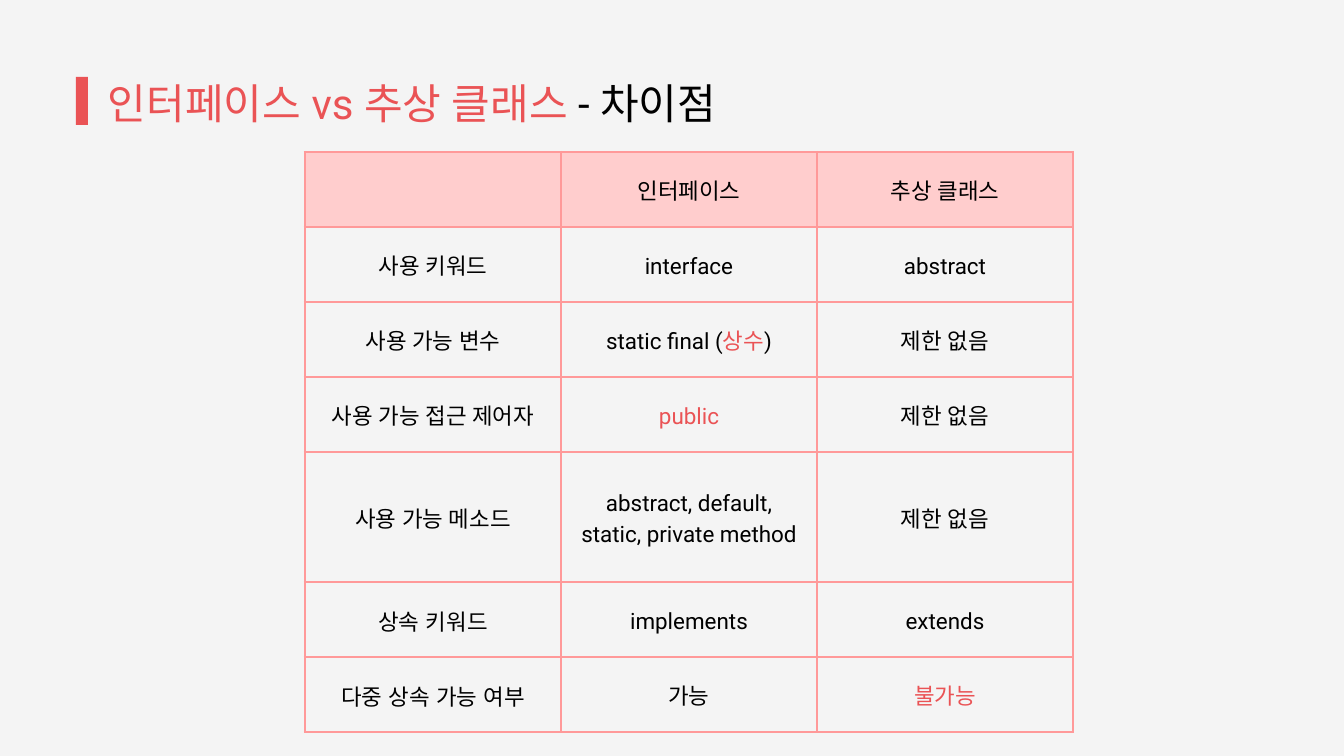
from lxml import etree
from pptx import Presentation
from pptx import util as u
from pptx.dml.color import RGBColor
from pptx.enum import shapes, text
from pptx.oxml.ns import qn

COLORS = {"paper": "F4F4F4", "ink": "000000", "accent": "EA5355",
          "header": "FFCDCD", "border": "FF9999"}
TITLE = [("인터페이스 vs 추상 클래스 ", "accent"), ("- 차이점", "ink")]
ROWS = [
    ("", "인터페이스", "추상 클래스"),
    ("사용 키워드", "interface", "abstract"),
    ("사용 가능 변수", [("static final (", "ink"), ("상수", "accent"), (")", "ink")], "제한 없음"),
    ("사용 가능 접근 제어자", [("public", "accent")], "제한 없음"),
    ("사용 가능 메소드", "abstract, default, static, private method", "제한 없음"),
    ("상속 키워드", "implements", "extends"),
    ("다중 상속 가능 여부", "가능", [("불가능", "accent")]),
]
ARIAL_CELLS = {(5, 0), (6, 0)}
ROW_HEIGHTS = [75, 75, 75, 75, 130, 75, 75]
COLUMN_WIDTH = 256
TABLE_LEFT, TABLE_TOP = 305, 152
CELL_INSET = 14
SCALE = 914400 / 67.2


def px(length):
    return u.Emu(round(length * SCALE))


def rgb(name):
    return RGBColor.from_string(COLORS[name])


def write(frame, content, size, leading, font="Roboto", align=text.PP_ALIGN.LEFT):
    para = frame.paragraphs[0]
    para.alignment = align
    para.line_spacing = u.Pt(leading)
    pieces = [(content, "ink")] if isinstance(content, str) else content
    for words, color in pieces:
        span = para.add_run()
        span.text = words
        span.font.size = u.Pt(size)
        span.font.color.rgb = rgb(color)
        span.font.name = font
        etree.SubElement(span.font._element, qn("a:ea"), typeface=font)


def add_borders(cell):
    properties = cell._tc.get_or_add_tcPr()
    for side in ("lnL", "lnR", "lnT", "lnB"):
        line = etree.SubElement(properties, qn(f"a:{side}"), w=str(u.Pt(3)))
        fill = etree.SubElement(line, qn("a:solidFill"))
        etree.SubElement(fill, qn("a:srgbClr"), val=COLORS["border"])


def add_title(page):
    bar = page.shapes.add_shape(shapes.MSO_SHAPE.RECTANGLE, px(76), px(77), px(12), px(48))
    bar.shadow.inherit = False
    bar.fill.solid()
    bar.fill.fore_color.rgb = rgb("accent")
    bar.line.fill.background()

    box = page.shapes.add_textbox(px(108), px(73), px(667), px(53))
    frame = box.text_frame
    frame.word_wrap = True
    frame.margin_left = frame.margin_right = frame.margin_top = frame.margin_bottom = 0
    write(frame, TITLE, size=45, leading=58.5)


def add_comparison(page):
    columns = len(ROWS[0])
    table = page.shapes.add_table(
        len(ROWS), columns, px(TABLE_LEFT), px(TABLE_TOP),
        px(COLUMN_WIDTH * columns), px(sum(ROW_HEIGHTS))).table
    table.horz_banding = False
    table.first_row = False
    for column in table.columns:
        column.width = px(COLUMN_WIDTH)
    for r, (values, height) in enumerate(zip(ROWS, ROW_HEIGHTS)):
        table.rows[r].height = px(height)
        for c, content in enumerate(values):
            cell = table.cell(r, c)
            add_borders(cell)
            if r == 0:
                cell.fill.solid()
                cell.fill.fore_color.rgb = rgb("header")
            else:
                cell.fill.background()
            cell.vertical_anchor = text.MSO_ANCHOR.MIDDLE
            cell.margin_left = cell.margin_right = px(CELL_INSET)
            cell.margin_top = cell.margin_bottom = px(CELL_INSET)
            if content:
                write(cell.text_frame, content, size=24, leading=33.6,
                      font="Arial" if (r, c) in ARIAL_CELLS else "Roboto",
                      align=text.PP_ALIGN.CENTER)


def main():
    deck = Presentation()
    deck.slide_width, deck.slide_height = px(1344), px(756)
    page = deck.slides.add_slide(deck.slide_layouts[6])
    page.background.fill.solid()
    page.background.fill.fore_color.rgb = rgb("paper")
    add_title(page)
    add_comparison(page)
    deck.save("out.pptx")


if __name__ == "__main__":
    main()
